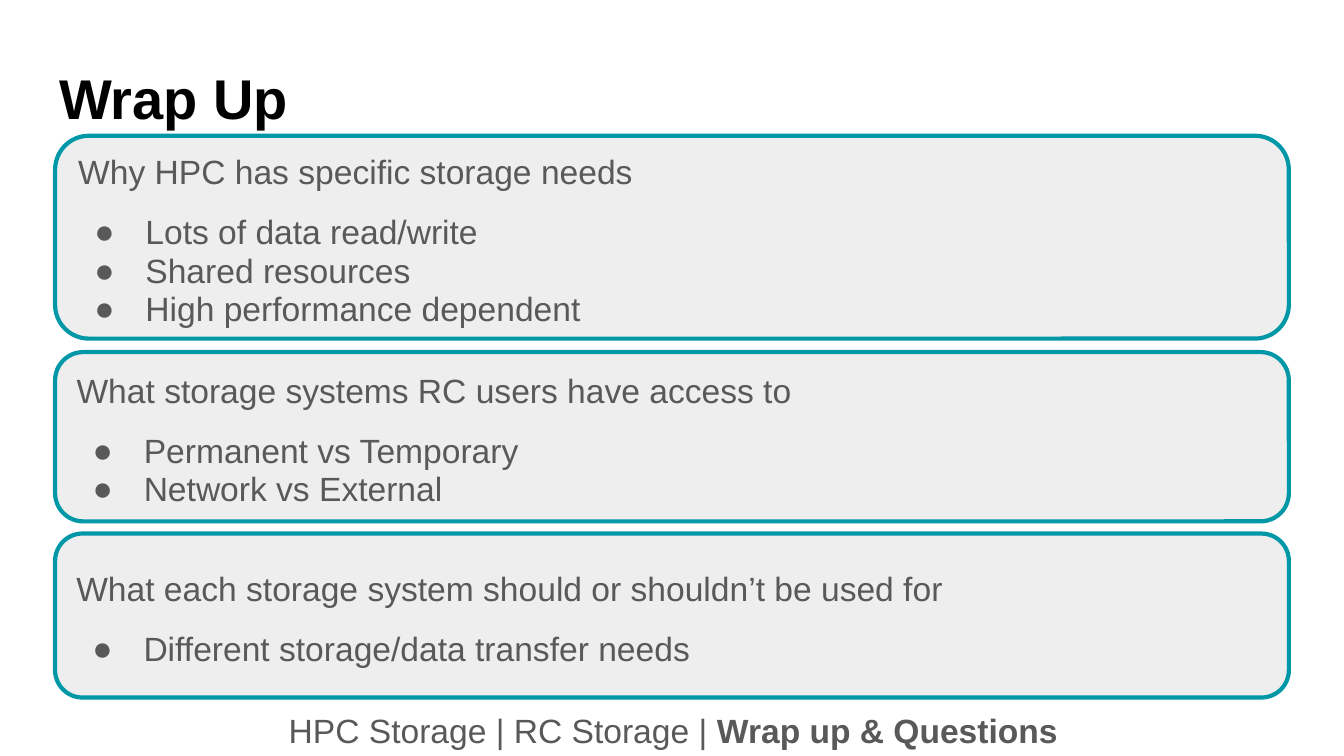
import pptx
import pptx.util
import pptx.dml.color
import pptx.enum.shapes
import pptx.enum.text
import pptx.oxml.ns
from lxml import etree
from pptx.util import Inches, Pt

COLORS = {"title": "000000", "body": "595959", "panel": "EEEEEE", "border": "0097A7"}
FONT = "Arial"
ANCHOR = pptx.enum.text.MSO_ANCHOR

PANELS = [
    (1.01, 1.51, "Why HPC has specific storage needs",
     ["Lots of data read/write", "Shared resources", "High performance dependent"]),
    (2.62, 1.26, "What storage systems RC users have access to",
     ["Permanent vs Temporary", "Network vs External"]),
    (3.97, 1.22, "What each storage system should or shouldn’t be used for",
     ["Different storage/data transfer needs"]),
]


def rgb(name):
    return pptx.dml.color.RGBColor.from_string(COLORS[name])


def add_text(paragraph, text, size=18, color="body", bold=False):
    run = paragraph.add_run()
    run.text = text
    run.font.name = FONT
    run.font.size = Pt(size)
    run.font.bold = bold
    run.font.color.rgb = rgb(color)


def set_frame(frame, anchor):
    frame.word_wrap = True
    frame.vertical_anchor = anchor
    frame.margin_left = frame.margin_right = Inches(0.1)
    frame.margin_top = frame.margin_bottom = Inches(0.1)


def set_bullet(paragraph):
    properties = paragraph._p.get_or_add_pPr()
    properties.set("marL", str(Inches(0.5)))
    properties.set("indent", str(Inches(-0.38)))
    bullet_color = etree.SubElement(properties, pptx.oxml.ns.qn("a:buClr"))
    etree.SubElement(bullet_color, pptx.oxml.ns.qn("a:srgbClr"), val=COLORS["body"])
    etree.SubElement(properties, pptx.oxml.ns.qn("a:buSzPts"), val="1800")
    etree.SubElement(properties, pptx.oxml.ns.qn("a:buFont"), typeface=FONT)
    etree.SubElement(properties, pptx.oxml.ns.qn("a:buChar"), char="●")


def add_heading(slide, left, top, width, height):
    heading = slide.shapes.title
    heading.left, heading.top = Inches(left), Inches(top)
    heading.width, heading.height = Inches(width), Inches(height)
    frame = heading.text_frame
    set_frame(frame, ANCHOR.TOP)
    frame.auto_size = pptx.enum.text.MSO_AUTO_SIZE.NONE
    frame.paragraphs[0].alignment = pptx.enum.text.PP_ALIGN.LEFT
    add_text(frame.paragraphs[0], "Wrap Up", size=30, color="title", bold=True)


def add_panel(slide, left, top, width, height, topic, points):
    panel = slide.shapes.add_shape(
        pptx.enum.shapes.MSO_SHAPE.ROUNDED_RECTANGLE,
        Inches(left), Inches(top), Inches(width), Inches(height))
    panel.shadow.inherit = False
    panel.fill.solid()
    panel.fill.fore_color.rgb = rgb("panel")
    panel.line.color.rgb = rgb("border")
    panel.line.width = Pt(2.25)

    frame = panel.text_frame
    set_frame(frame, ANCHOR.MIDDLE)
    topic_line = frame.paragraphs[0]
    topic_line.alignment = pptx.enum.text.PP_ALIGN.LEFT
    topic_line.line_spacing = 1.15
    add_text(topic_line, topic)
    for index, point in enumerate(points):
        point_line = frame.add_paragraph()
        set_bullet(point_line)
        point_line.alignment = pptx.enum.text.PP_ALIGN.LEFT
        point_line.line_spacing = 0.95
        point_line.space_before = Pt(0 if index else 12)
        add_text(point_line, point)


def add_progress(slide, left, top, width, height):
    progress = slide.shapes.add_textbox(
        Inches(left), Inches(top), Inches(width), Inches(height))
    frame = progress.text_frame
    set_frame(frame, ANCHOR.TOP)
    frame.auto_size = pptx.enum.text.MSO_AUTO_SIZE.SHAPE_TO_FIT_TEXT
    add_text(frame.paragraphs[0], "HPC Storage | RC Storage | ")
    add_text(frame.paragraphs[0], "Wrap up & Questions", bold=True)


def main():
    deck = pptx.Presentation()
    # Widescreen, 16:9
    deck.slide_width = Inches(10)
    deck.slide_height = deck.slide_width * 9 // 16
    slide = deck.slides.add_slide(deck.slide_layouts[5])

    # Title
    add_heading(slide, 0.34, 0.37, 9.32, 0.63)
    # Summary panels
    for top, height, topic, points in PANELS:
        add_panel(slide, 0.41, top, 9.18, height, topic, points)
    # Section progress line
    add_progress(slide, 2.05, 5.18, 6.17, 0.5)

    deck.save("out.pptx")


if __name__ == "__main__":
    main()
